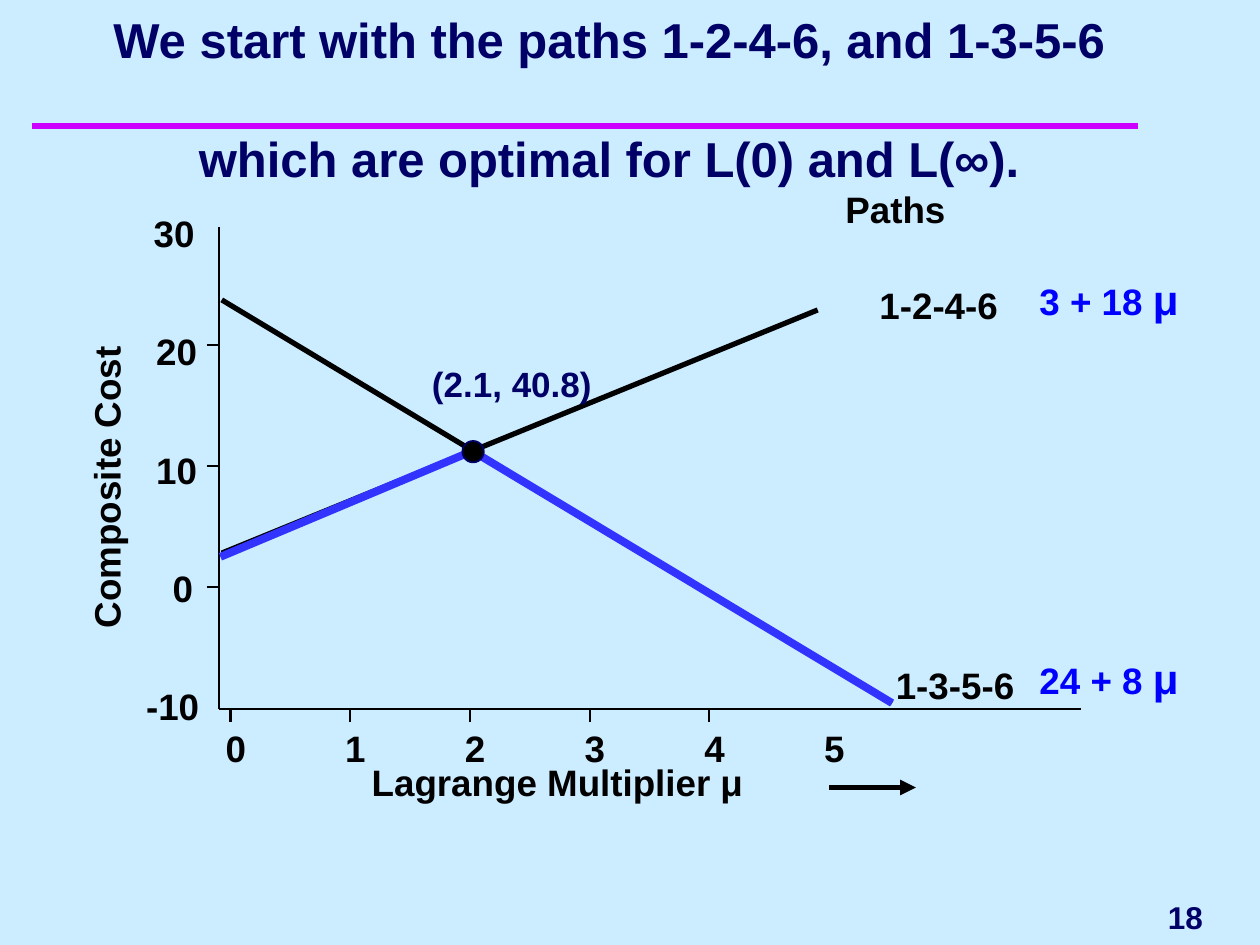
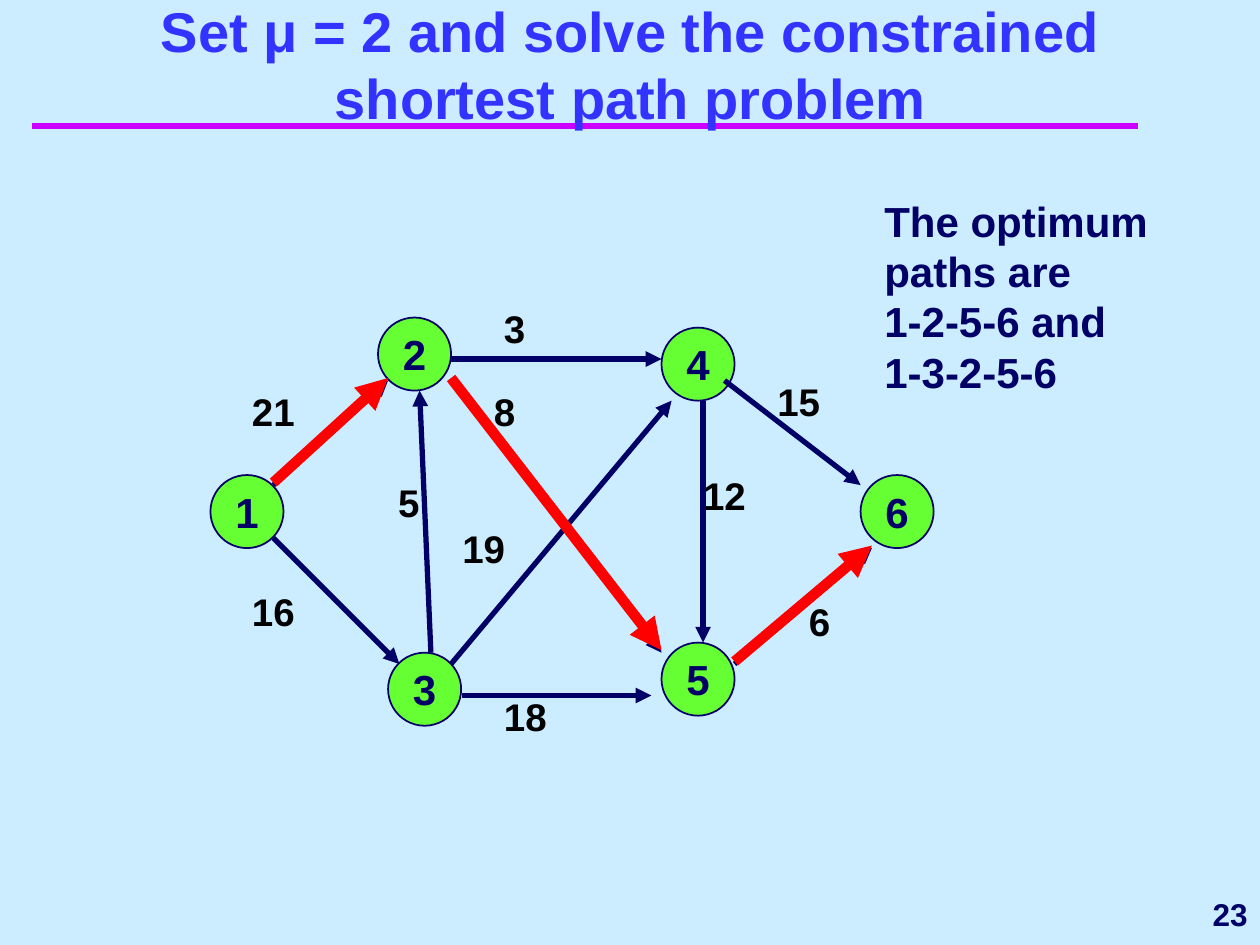
from pptx import Presentation
from pptx.util import Inches, Pt
from pptx.dml.color import RGBColor
from pptx.enum.shapes import MSO_CONNECTOR, MSO_SHAPE
from pptx.enum.text import MSO_ANCHOR, MSO_AUTO_SIZE, PP_ALIGN
from pptx.oxml.ns import qn
from lxml.etree import SubElement

hues = {"sky": "CCECFF", "rule": "CC00FF", "navy": "000066", "black": "000000",
        "blue": "0000FF", "royal": "3333FF", "green": "66FF33", "red": "FF0000"}
tone = {name: RGBColor.from_string(code) for name, code in hues.items()}
face = {"name": "Arial", "bold": True}
pad = {"margin_left": Inches(0.1), "margin_right": Inches(0.1),
       "margin_top": Inches(0.05), "margin_bottom": Inches(0.05)}
tight = {**dict.fromkeys(pad, 0), "word_wrap": False,
         "auto_size": MSO_AUTO_SIZE.SHAPE_TO_FIT_TEXT}
wide = {**pad, "word_wrap": True}
mid = {**pad, "word_wrap": False, "vertical_anchor": MSO_ANCHOR.MIDDLE}
low = {**wide, "vertical_anchor": MSO_ANCHOR.BOTTOM}


def say(shape, words, size, hue, form, align=PP_ALIGN.LEFT, gap=0):
    frame = shape.text_frame
    for key, value in form.items():
        setattr(frame, key, value)
    for row, line in enumerate(words.split("\n")):
        para = frame.add_paragraph() if row else frame.paragraphs[0]
        para.alignment = align
        para.space_before = Pt(gap if row else 0)
        for step, word in enumerate(line.split("|")):
            run = para.add_run()
            run.text = word
            look = {**face, "size": Pt(size + 3 * step)}
            for key, value in look.items():
                setattr(run.font, key, value)
            run.font.color.rgb = tone[hue]


def draw(slide, ends, hue, width, head=False):
    link = slide.shapes.add_connector(MSO_CONNECTOR.STRAIGHT, *map(Inches, ends))
    link.line.color.rgb = tone[hue]
    link.line.width = Pt(width)
    if head:
        SubElement(link.line._get_or_add_ln(), qn("a:tailEnd"), type="triangle")
    SubElement(link._element.spPr, qn("a:effectLst"))


deck = Presentation()
deck.slide_width, deck.slide_height = Inches(10), Inches(7.5)
back = deck.slide_master.background.fill
back.solid()
back.fore_color.rgb = tone["sky"]

heads = [
    ("We start with the paths 1-2-4-6, and 1-3-5-6\nwhich are optimal for L(0) and L(∞).",
     (0.75, 0.03, 8.17, 1.5), 28, "navy", wide, 34),
    ("Set μ = 2 and solve the constrained shortest path problem",
     (0.42, 0.67, 9.17, 0.42), 32, "royal", low, 0),
]
feet = [("18", (9.17, 7.08, 0.75, 0.4), wide, PP_ALIGN.LEFT),
        ("23", (8.42, 7, 1.58, 0.5), mid, PP_ALIGN.RIGHT)]
pages = []
for (words, spot, size, hue, form, gap), (num, place, fit, side) in zip(heads, feet):
    page = deck.slides.add_slide(deck.slide_layouts[6])
    draw(page, (0.25, 1, 9.03, 1), "rule", 4)
    say(page.shapes.add_textbox(*map(Inches, spot)), words, size, hue, form, PP_ALIGN.CENTER, gap)
    say(page.shapes.add_textbox(*map(Inches, place)), num, 18, "navy", fit, side)
    pages.append(page)
plot, net = pages

axes = [(1.74, 1.8, 1.74, 5.63), (1.74, 5.63, 8.58, 5.63)]
ticks = [(1.64, 2.74 + 0.96 * i, 1.74, 2.74 + 0.96 * i) for i in range(3)]
ticks += [(1.83 + 0.95 * i, 5.63, 1.83 + 0.95 * i, 5.73) for i in range(5)]
for ends in axes + ticks:
    draw(plot, ends, "black", 1.25)
for ends in [(1.76, 4.39, 6.49, 2.46), (1.76, 2.38, 7.08, 5.58)]:
    draw(plot, ends, "black", 3)
draw(plot, (6.58, 6.25, 7.27, 6.25), "black", 3, True)

notes = [(str(i), 1.79 + 0.95 * i, 5.76, 0.17, "black") for i in range(6)]
marks = [("30", 1.22, 0.34), ("20", 1.24, 0.34), ("10", 1.24, 0.34),
         ("0", 1.37, 0.17), ("-10", 1.16, 0.44)]
notes += [(word, left, 1.67 + 0.94 * i, width, "black")
          for i, (word, left, width) in enumerate(marks)]
notes += [
    ("Paths", 6.71, 1.48, 0.82, "black"),
    ("1-2-4-6", 6.98, 2.24, 0.96, "black"),
    ("1-3-5-6", 7.11, 5.26, 0.96, "black"),
    ("3 + 18 |μ", 8.25, 2.17, 1.14, "blue"),
    ("24 + 8 |μ", 8.25, 5.18, 1.14, "blue"),
    ("Lagrange Multiplier μ", 2.95, 6.03, 2.97, "black"),
    ("Composite Cost", -0.32, 3.65, 2.32, "black"),
]
for words, left, top, width, hue in notes:
    box = plot.shapes.add_textbox(*map(Inches, (left, top, width, 0.35)))
    say(box, words, 21, hue, tight)
    if words == "Composite Cost":
        box.rotation = 270

pen = plot.shapes.build_freeform(Inches(1.75), Inches(4.42))
pen.add_line_segments([(Inches(x), Inches(y)) for x, y in [(3.75, 3.58), (7.08, 5.58)]], close=False)
hull = pen.convert_to_shape()
hull.shadow.inherit = False
hull.fill.background()
hull.line.color.rgb = tone["royal"]
hull.line.width = Pt(4.5)

say(plot.shapes.add_textbox(*map(Inches, (3.33, 2.83, 1.58, 0.44))), "(2.1, 40.8)", 20, "navy", wide)

costs = [("21", 2, 3.08), ("3", 4, 2.42), ("15", 6.17, 3), ("8", 3.92, 3.08),
         ("16", 2, 4.67), ("18", 4, 5.5), ("6", 6.42, 4.75), ("5", 3.16, 3.8),
         ("12", 5.58, 3.75), ("19", 3.67, 4.17)]
for cost, left, top in costs:
    box = net.shapes.add_textbox(*map(Inches, (left, top, 0.17 * len(cost), 0.37)))
    say(box, cost, 22, "black", tight)

dots = [(plot, "", 3.67, 3.5, 0.17, "black")]
nodes = [(1.67, 3.77), (3, 2.52), (3.08, 5.18), (5.25, 2.6), (5.25, 5.1), (6.83, 3.77)]
dots += [(net, str(i), x, y, 0.58, "green") for i, (x, y) in enumerate(nodes, 1)]
for page, name, left, top, size, hue in dots:
    dot = page.shapes.add_shape(MSO_SHAPE.OVAL, *map(Inches, (left, top, size, size)))
    dot.shadow.inherit = False
    dot.fill.solid()
    dot.fill.fore_color.rgb = tone[hue]
    dot.line.color.rgb = tone["navy"]
    dot.line.width = Pt(1)
    if name:
        say(dot, name, 24, "navy", mid, PP_ALIGN.CENTER)

best = [(2.17, 3.85, 3.08, 3.02), (3.58, 3.02, 5.25, 5.18), (5.83, 5.27, 6.92, 4.35)]
arcs = [(3.58, 2.85, 5.25, 2.85), (2.17, 4.27, 3.17, 5.27), (3.42, 5.18, 3.33, 3.1),
        (3.58, 5.27, 5.33, 3.18), (3.67, 5.52, 5.17, 5.52), (5.75, 3.02, 6.83, 3.85),
        (5.58, 3.18, 5.58, 5.1)]
for ends in best + arcs:
    draw(net, ends, "navy", 3, True)
for x1, y1, x2, y2 in best:
    draw(net, (x1, y1 - 0.02, x2, y2 - 0.02), "red", 6, True)

say(net.shapes.add_textbox(*map(Inches, (6.92, 1.5, 2.92, 1.7))),
    "The optimum paths are\n1-2-5-6 and\n1-3-2-5-6", 24, "navy", wide)

deck.save("out.pptx")
